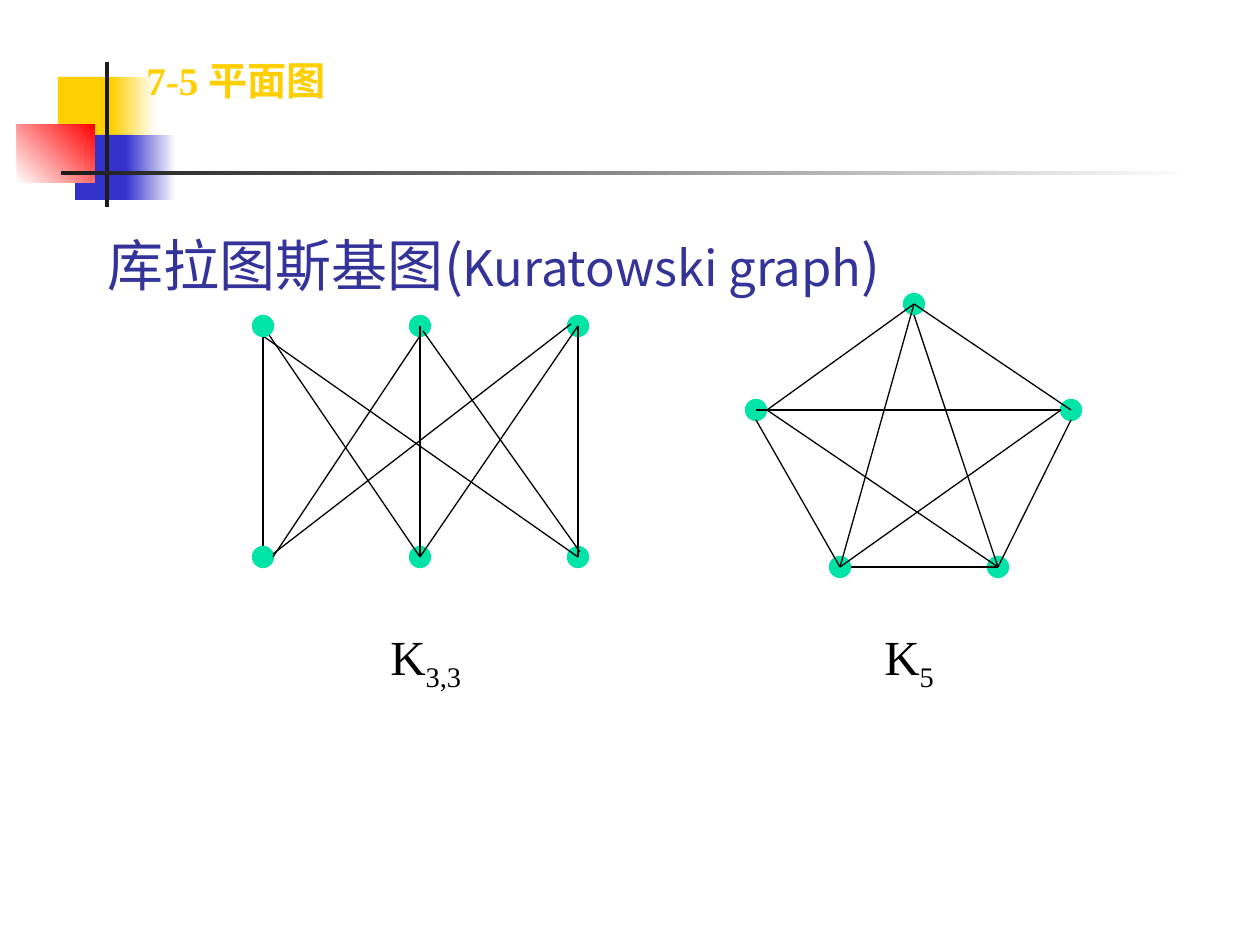
from lxml import etree
from pptx import Presentation
from pptx.dml.color import RGBColor
from pptx.enum.shapes import MSO_CONNECTOR, MSO_SHAPE
from pptx.enum.text import MSO_ANCHOR, PP_ALIGN
from pptx.oxml.ns import qn
from pptx.util import Emu, Pt

RECT, OVAL = MSO_SHAPE.RECTANGLE, MSO_SHAPE.OVAL
STRAIGHT = MSO_CONNECTOR.STRAIGHT
TOP, MIDDLE, BOTTOM = MSO_ANCHOR.TOP, MSO_ANCHOR.MIDDLE, MSO_ANCHOR.BOTTOM

# Content; all lengths in px, 126 px to the inch
COLORS = {"yellow": "FFCF01", "blue": "3333CC", "red": "FF0000", "white": "FFFFFF",
          "dark": "1C1C1C", "title": "333399", "node": "00E4A8", "black": "000000"}
CJK, LATIN = "Noto Sans CJK SC", "Times New Roman"
NODE = 21

# (left, top, width, height), start colour, end colour or None, angle
ORNAMENT = [
    ((58, 77, 60, 65), "yellow", None, 0),
    ((111, 77, 45, 65), "yellow", "white", 0),
    ((75, 135, 58, 65), "blue", None, 0),
    ((126, 135, 50, 65), "blue", "white", 0),
    ((17, 124, 78, 59), "white", "red", 45),
    ((105, 62, 4, 145), "dark", None, 0),
    ((61, 171, 1134, 4), "dark", "white", 0),
]

TITLE = [("库拉图斯基图(", {"size": Pt(32)}),
         ("Kuratowski graph", {"size": Pt(28)}),
         (")", {"size": Pt(32)})]
SECTION = [("7-5 平面图", {"size": Pt(22.4), "bold": True})]

# Node centres, edge end points, nodes in front of the edges, name and its index
GRAPHS = [
    {"nodes": [(914, 304), (756, 410), (1071, 410), (840, 567), (998, 567)],
     "edges": [(756, 410, 1061, 410), (851, 567, 998, 567), (840, 567, 914, 304),
               (914, 315, 998, 567), (767, 410, 998, 567), (840, 567, 1061, 410),
               (914, 304, 767, 410), (756, 420, 840, 567), (914, 304, 1071, 410),
               (1071, 420, 998, 567)],
     "front": [], "label": ("K", "5"), "label_left": 872},
    {"nodes": [(420, 326), (578, 326), (263, 557), (420, 557), (578, 557)],
     "edges": [(263, 336, 263, 546), (420, 326, 420, 557), (578, 326, 578, 557),
               (263, 326, 420, 557), (423, 331, 580, 552), (420, 336, 273, 557),
               (578, 326, 420, 557), (263, 336, 578, 557), (571, 324, 273, 554)],
     "front": [(263, 326)], "label": ("K", "3,3"), "label_left": 378},
]


def px(n):
    return Emu(round(n * 914400 / 126))


def rgb(name):
    return RGBColor.from_string(COLORS[name])


def add_shape(kind, box, color, end=None, angle=0):
    sp = slide.shapes.add_shape(kind, *map(px, box))
    sp.shadow.inherit = False
    sp.line.fill.background()
    if end is None:
        sp.fill.solid()
        sp.fill.fore_color.rgb = rgb(color)
    else:
        sp.fill.gradient()
        sp.fill.gradient_angle = angle
        for stop, name in zip(sp.fill.gradient_stops, (color, end)):
            stop.color.rgb = rgb(name)
    return sp


def add_node(x, y):
    sp = add_shape(OVAL, (x - NODE / 2, y - NODE / 2, NODE, NODE), "node")
    sp.line.color.rgb = rgb("node")
    sp.line.width = Pt(0.75)


def add_edge(*ends):
    line = slide.shapes.add_connector(STRAIGHT, *map(px, ends))
    line.line.color.rgb = rgb("black")
    line.line.width = Pt(0.75)
    etree.SubElement(line._element.spPr, qn("a:effectLst"))


def write(sp, runs, font, color, anchor):
    tf = sp.text_frame
    tf.word_wrap = True
    tf.vertical_anchor = anchor
    p = tf.paragraphs[0]
    p.alignment = PP_ALIGN.LEFT
    for text, formats in runs:
        r = p.add_run()
        r.text = text
        r.font.name = font
        r.font.color.rgb = rgb(color)
        for key, value in formats.items():
            setattr(r.font, key, value)
        etree.SubElement(r.font._element, qn("a:ea"), typeface=CJK)
    return p


prs = Presentation()
prs.slide_width, prs.slide_height = px(1260), px(945)
slide = prs.slides.add_slide(prs.slide_layouts[5])

# Corner ornament and rule
for box, color, end, angle in ORNAMENT:
    add_shape(RECT, box, color, end, angle)

# Title
title = slide.shapes.title
title.left, title.top, title.width, title.height = map(px, (95, 106, 1071, 198))
write(title, TITLE, CJK, "title", BOTTOM)

# Graphs with their names
for graph in GRAPHS:
    for node in graph["nodes"]:
        add_node(*node)
    for edge in graph["edges"]:
        add_edge(*edge)
    for node in graph["front"]:
        add_node(*node)
    sp = slide.shapes.add_textbox(*map(px, (graph["label_left"], 620, 147, 79)))
    name, index = graph["label"]
    p = write(sp, [(name, {"size": Pt(28)}), (index, {"size": Pt(28)})], LATIN, "black", TOP)
    p.space_before = Pt(17.5)
    p.runs[1].font._element.set("baseline", "-25000")

# Section heading
sp = slide.shapes.add_textbox(*map(px, (134, 54, 922, 60)))
p = write(sp, SECTION, LATIN, "yellow", MIDDLE)
p.line_spacing = 0.8

prs.save("out.pptx")
